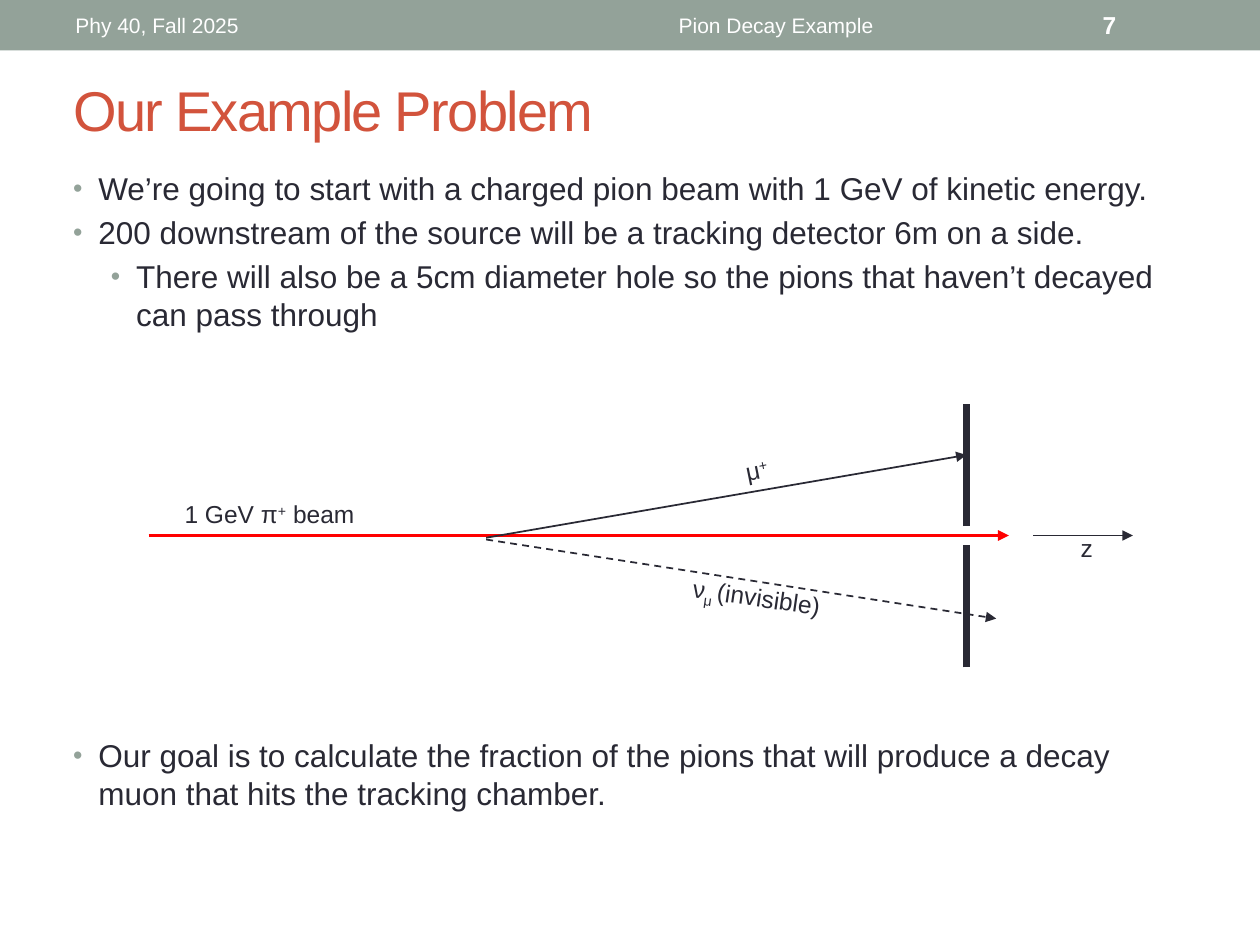
from lxml.etree import SubElement
from pptx import Presentation
from pptx.dml.color import RGBColor
from pptx.enum.dml import MSO_LINE
from pptx.enum.shapes import MSO_CONNECTOR, MSO_SHAPE
from pptx.enum.text import MSO_ANCHOR, MSO_AUTO_SIZE, PP_ALIGN
from pptx.oxml.ns import qn
from pptx.util import Pt

COLORS = {"bar": "93A299", "title": "D2533C", "ink": "292934",
          "beam": "FF0000", "white": "FFFFFF"}
FONT = "Arial"
LEFT, CENTER = PP_ALIGN.LEFT, PP_ALIGN.CENTER

# Content
TITLE = "Our Example Problem"
BULLETS = [  # level, space before, text
    (0, 0, "We’re going to start with a charged pion beam with 1 GeV of kinetic energy."),
    (0, 3.6, "200 downstream of the source will be a tracking detector 6m on a side."),
    (1, 3.6, "There will also be a 5cm diameter hole so the pions that haven’t decayed "
             "can pass through"),
    (0, 230.4, "Our goal is to calculate the fraction of the pions that will produce a decay "
               "muon that hits the tracking chamber."),
]
HEADER = [  # text, left, width, size, bold, alignment
    ("Phy 40, Fall 2025", 36, 228, 12, False, LEFT),
    ("Pion Decay Example", 270, 347, 12, False, CENTER),
    ("7", 623, 61, 14, True, LEFT),
]
BEAM_Y, DETECTOR_X, DECAY_X = 306, 552.3, 277.8
HOLE_GAP, DETECTOR_H = 5.4, 70
LINES = [  # start, end, color, width, dashed, arrow
    ((85, BEAM_Y), (576.5, BEAM_Y), "beam", 2.08, False, True),
    ((DETECTOR_X, BEAM_Y - HOLE_GAP), (DETECTOR_X, BEAM_Y - HOLE_GAP - DETECTOR_H),
     "ink", 4, False, False),
    ((DETECTOR_X, BEAM_Y + HOLE_GAP + DETECTOR_H), (DETECTOR_X, BEAM_Y + HOLE_GAP),
     "ink", 4, False, False),
    ((DECAY_X, 307.3), (DETECTOR_X, 260), "ink", 1, False, True),
    ((DECAY_X, 308.3), (569.3, 353.5), "ink", 1, True, True),
    ((590.3, BEAM_Y), (647.3, BEAM_Y), "ink", 1, False, True),
]
LABELS = [  # runs as (text, baseline), left, top, width, rotation, alignment
    ([("μ", 0), ("+", 30)], 373, 256.2, 118.8, 348.5, CENTER),
    ([("1 GeV π", 0), ("+", 30), (" beam", 0)], 98.4, 281.8, 116, 0, LEFT),
    ([("ν", 0), ("μ ", -25), ("(invisible)", 0)], 373, 329.2, 118.8, 8.4, CENTER),
    ([("z", 0)], 610.5, 301.2, 39, 0, LEFT),
]


def rgb(name):
    return RGBColor.from_string(COLORS[name])


def place(sp, left, top, width, height):
    sp.left, sp.top, sp.width, sp.height = Pt(left), Pt(top), Pt(width), Pt(height)


def prepare(sp, anchor):
    tf = sp.text_frame
    tf.word_wrap = True
    tf.auto_size = MSO_AUTO_SIZE.NONE
    tf.vertical_anchor = anchor
    return tf


def add_run(p, text, size, color, bold=False, baseline=0):
    r = p.add_run()
    r.text = text
    r.font.name, r.font.size, r.font.bold = FONT, Pt(size), bold
    r.font.color.rgb = rgb(color)
    if baseline:
        r.font._element.set("baseline", str(baseline * 1000))
    return r


def add_box(s, left, top, width, height, align, anchor):
    sp = s.shapes.add_textbox(Pt(left), Pt(top), Pt(width), Pt(height))
    p = prepare(sp, anchor).paragraphs[0]
    p.alignment = align
    return sp, p


def set_bullet(p, level):
    pPr = p._p.get_or_add_pPr()
    pPr.set("marL", str(Pt(36 if level else 14.4)))
    pPr.set("indent", str(-Pt(14.4)))
    SubElement(SubElement(pPr, qn("a:buClr")), qn("a:srgbClr"), val=COLORS["bar"])
    SubElement(pPr, qn("a:buSzPct"), val="85000")
    SubElement(pPr, qn("a:buFont"), typeface=FONT)
    SubElement(pPr, qn("a:buChar"), char="•")


def add_line(s, start, end, color, width, dashed, arrow):
    line = s.shapes.add_connector(MSO_CONNECTOR.STRAIGHT, *map(Pt, start + end))
    line.line.color.rgb = rgb(color)
    line.line.width = Pt(width)
    if dashed:
        line.line.dash_style = MSO_LINE.DASH
    if arrow:
        SubElement(line.line._get_or_add_ln(), qn("a:tailEnd"), type="triangle")
    SubElement(line._element.spPr, qn("a:effectLst"))


def main():
    prs = Presentation()
    prs.slide_width, prs.slide_height = Pt(720), Pt(540)
    s = prs.slides.add_slide(prs.slide_layouts[1])
    title, body = s.placeholders[0], s.placeholders[1]

    # Header bar
    bar = s.shapes.add_shape(MSO_SHAPE.RECTANGLE, 0, 0, Pt(720), Pt(28.8))
    bar.shadow.inherit = False
    bar.fill.solid()
    bar.fill.fore_color.rgb = rgb("bar")
    bar.line.fill.background()
    for text, left, width, size, bold, align in HEADER:
        _, p = add_box(s, left, 1.4, width, 26, align, MSO_ANCHOR.MIDDLE)
        add_run(p, text, size, "white", bold)

    # Title
    place(title, 34.6, 37.5, 648, 49.7)
    p = prepare(title, MSO_ANCHOR.MIDDLE).paragraphs[0]
    p.alignment = LEFT
    r = add_run(p, TITLE, 32, "title")
    r.font._element.set("spc", "-100")

    # Bullets
    place(body, 34.6, 92.9, 648, 428.4)
    tf = prepare(body, MSO_ANCHOR.TOP)
    for i, (level, before, text) in enumerate(BULLETS):
        p = tf.add_paragraph() if i else tf.paragraphs[0]
        p.level, p.alignment = level, LEFT
        p.line_spacing, p.space_before = Pt(21.6), Pt(before)
        set_bullet(p, level)
        add_run(p, text, 18, "ink")

    # Decay diagram
    for line in LINES:
        add_line(s, *line)
    for runs, left, top, width, rotation, align in LABELS:
        sp, p = add_box(s, left, top, width, 24.2, align, MSO_ANCHOR.TOP)
        sp.rotation = rotation
        for text, baseline in runs:
            add_run(p, text, 14, "ink", baseline=baseline)

    prs.save("out.pptx")


if __name__ == "__main__":
    main()
